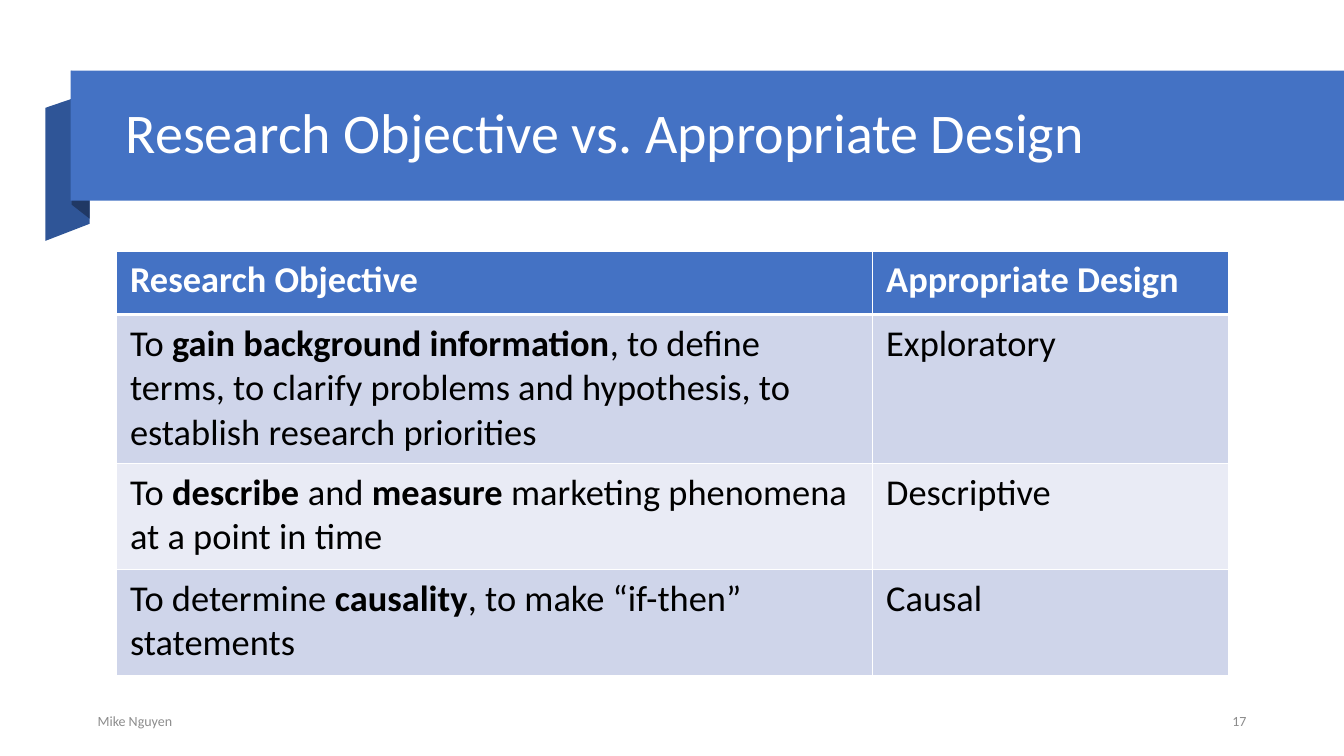
from dataclasses import dataclass

from lxml import etree
from pptx import Presentation
from pptx.dml.color import RGBColor
from pptx.enum import shapes, text
from pptx.oxml import ns
from pptx.util import Inches, Pt


@dataclass(frozen=True)
class Theme:
    font: str = "Calibri"
    title_size: int = 40
    table_size: int = 26
    footer_size: int = 10
    white: str = "FFFFFF"
    black: str = "000000"
    grey: str = "8C8C8C"
    blue: str = "4472C4"
    ribbon: str = "2F5597"
    fold: str = "203864"
    bands: tuple = ("CFD5EA", "E9EBF5")


THEME = Theme()

HEADINGS = ("Research Objective", "Appropriate Design")
# Each objective alternates plain and bold spans, starting with plain.
DESIGNS = (
    (("To ", "gain background information",
      ", to define terms, to clarify problems and hypothesis, to establish research priorities"),
     "Exploratory"),
    (("To ", "describe", " and ", "measure", " marketing phenomena at a point in time"),
     "Descriptive"),
    (("To determine ", "causality", ", to make “if-then” statements"), "Causal"),
)
COLUMN_WIDTHS = (7.5, 3.54)
ROW_HEIGHTS = (0.63, 1.48, 1.05, 1.05)


def style_span(span, size, color, bold=False):
    span.font.name = THEME.font
    span.font.size = Pt(size)
    span.font.bold = bold
    span.font.color.rgb = RGBColor.from_string(color)


def paint(shape, color):
    shape.shadow.inherit = False
    shape.fill.solid()
    shape.fill.fore_color.rgb = RGBColor.from_string(color)
    shape.line.fill.background()


def add_text(page, box, words, size, color, align=text.PP_ALIGN.LEFT):
    """Add one line of vertically centred text and return its paragraph."""
    frame = page.shapes.add_textbox(*map(Inches, box)).text_frame
    frame.word_wrap = True
    frame.vertical_anchor = text.MSO_ANCHOR.MIDDLE
    frame.text = words
    para = frame.paragraphs[0]
    para.alignment = align
    style_span(para.runs[0], size, color)
    return para


def add_polygon(page, left, top, points, color):
    """Draw a closed outline whose points are relative to left and top."""
    corners = [(Inches(left + x), Inches(top + y)) for x, y in points]
    builder = page.shapes.build_freeform(*corners[0])
    builder.add_line_segments(corners[1:], close=True)
    paint(builder.convert_to_shape(), color)


def add_title_banner(page, box, title):
    left, top, width, height = box
    add_polygon(page, left, top,
                ((0.19, 1.52), (-0.25, 1.69), (-0.25, 0.37), (0.19, 0.22)), THEME.ribbon)
    add_polygon(page, left, top,
                ((0.19, 1.47), (0.01, 1.33), (0.01, 0), (0.19, 0.15)), THEME.fold)
    banner = page.shapes.add_shape(shapes.MSO_SHAPE.RECTANGLE, *map(Inches, box))
    paint(banner, THEME.blue)
    para = add_text(page, (left + 0.45, top + 0.16, 11.27, 0.96), title,
                    THEME.title_size, THEME.white)
    para.line_spacing = 0.9


def set_borders(cell, top, bottom):
    """Give a cell white borders; top and bottom widths are in points."""
    properties = cell._tc.get_or_add_tcPr()
    for side, width in (("L", 1), ("R", 1), ("T", top), ("B", bottom)):
        line = etree.SubElement(properties, ns.qn(f"a:ln{side}"), w=str(Pt(width)))
        fill = etree.SubElement(line, ns.qn("a:solidFill"))
        etree.SubElement(fill, ns.qn("a:srgbClr"), val=THEME.white)


def fill_cell(cell, spans, row):
    header = row == 0
    set_borders(cell, top=3 if row == 1 else 1, bottom=3 if header else 1)
    cell.fill.solid()
    color = THEME.blue if header else THEME.bands[(row - 1) % 2]
    cell.fill.fore_color.rgb = RGBColor.from_string(color)
    cell.margin_left = cell.margin_right = Inches(0.14)
    cell.margin_top = cell.margin_bottom = Inches(0.07)
    para = cell.text_frame.paragraphs[0]
    for index, words in enumerate(spans):
        span = para.add_run()
        span.text = words
        style_span(span, THEME.table_size, THEME.white if header else THEME.black,
                   bold=header or index % 2 == 1)


def add_design_table(page, left, top):
    rows = [[(heading,) for heading in HEADINGS]]
    rows += [[objective, (design,)] for objective, design in DESIGNS]
    size = (sum(COLUMN_WIDTHS), sum(ROW_HEIGHTS))
    table = page.shapes.add_table(len(rows), len(HEADINGS),
                                  *map(Inches, (left, top, *size))).table
    for column, width in zip(table.columns, COLUMN_WIDTHS):
        column.width = Inches(width)
    for row, (cells, height) in enumerate(zip(rows, ROW_HEIGHTS)):
        table.rows[row].height = Inches(height)
        for column, spans in enumerate(cells):
            fill_cell(table.cell(row, column), spans, row)


def add_footer(page, box, author, number):
    left, top, width, height = box
    number_width = 0.75
    footers = (
        ((left, top, 7.39, height), author, text.PP_ALIGN.LEFT),
        ((left + width - number_width, top, number_width, height), number,
         text.PP_ALIGN.RIGHT),
    )
    for place, words, align in footers:
        para = add_text(page, place, words, THEME.footer_size, THEME.grey, align)
        para.space_after = Pt(6)


def main():
    deck = Presentation()
    deck.slide_width, deck.slide_height = Inches(13.33), Inches(7.5)
    page = deck.slides.add_slide(deck.slide_layouts[6])
    add_title_banner(page, (0.7, 0.7, 12.63, 1.29),
                     "Research Objective vs. Appropriate Design")
    add_footer(page, (0.87, 6.98, 11.59, 0.35), "Mike Nguyen", "17")
    add_design_table(page, 1.15, 2.49)
    deck.save("out.pptx")


if __name__ == "__main__":
    main()
